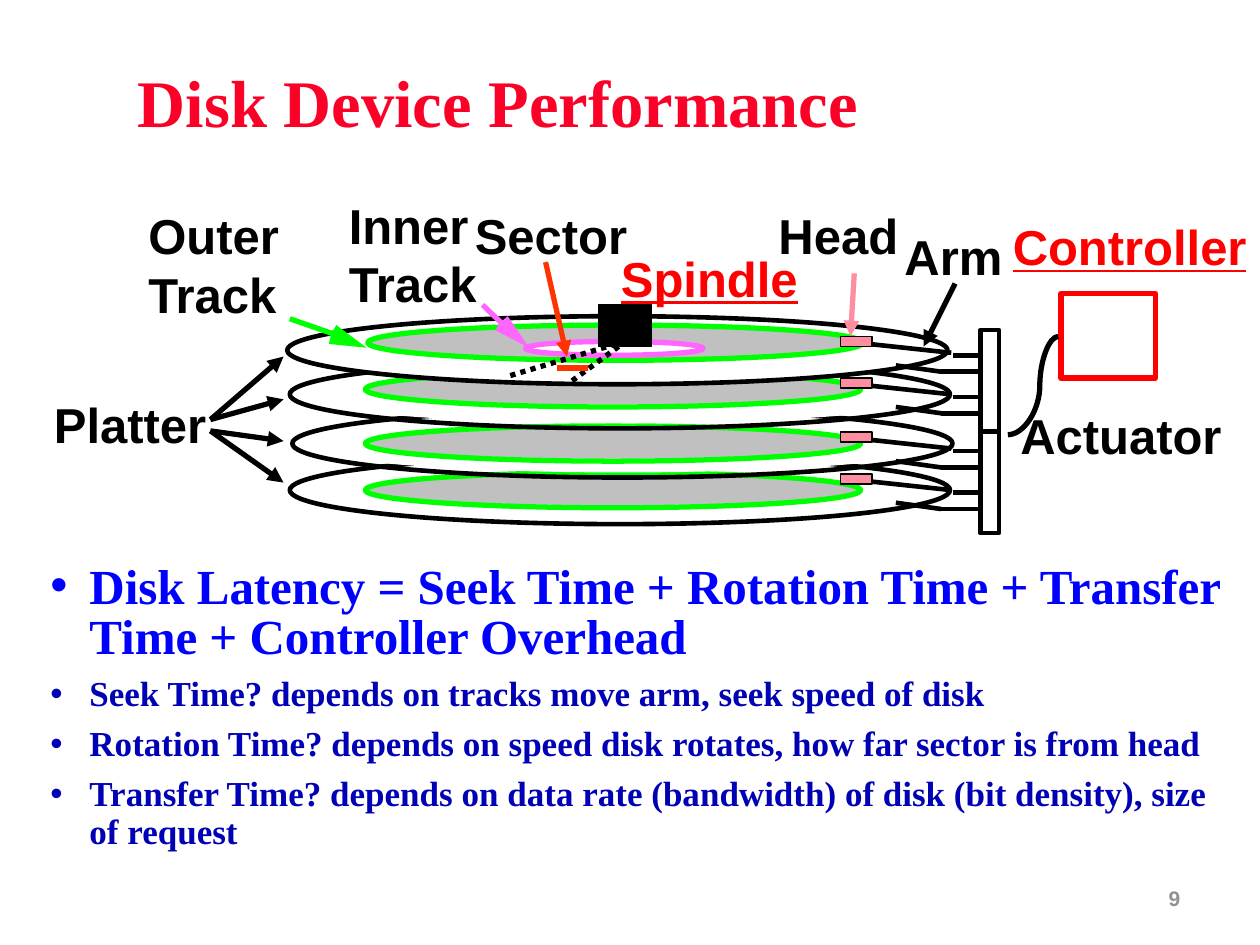
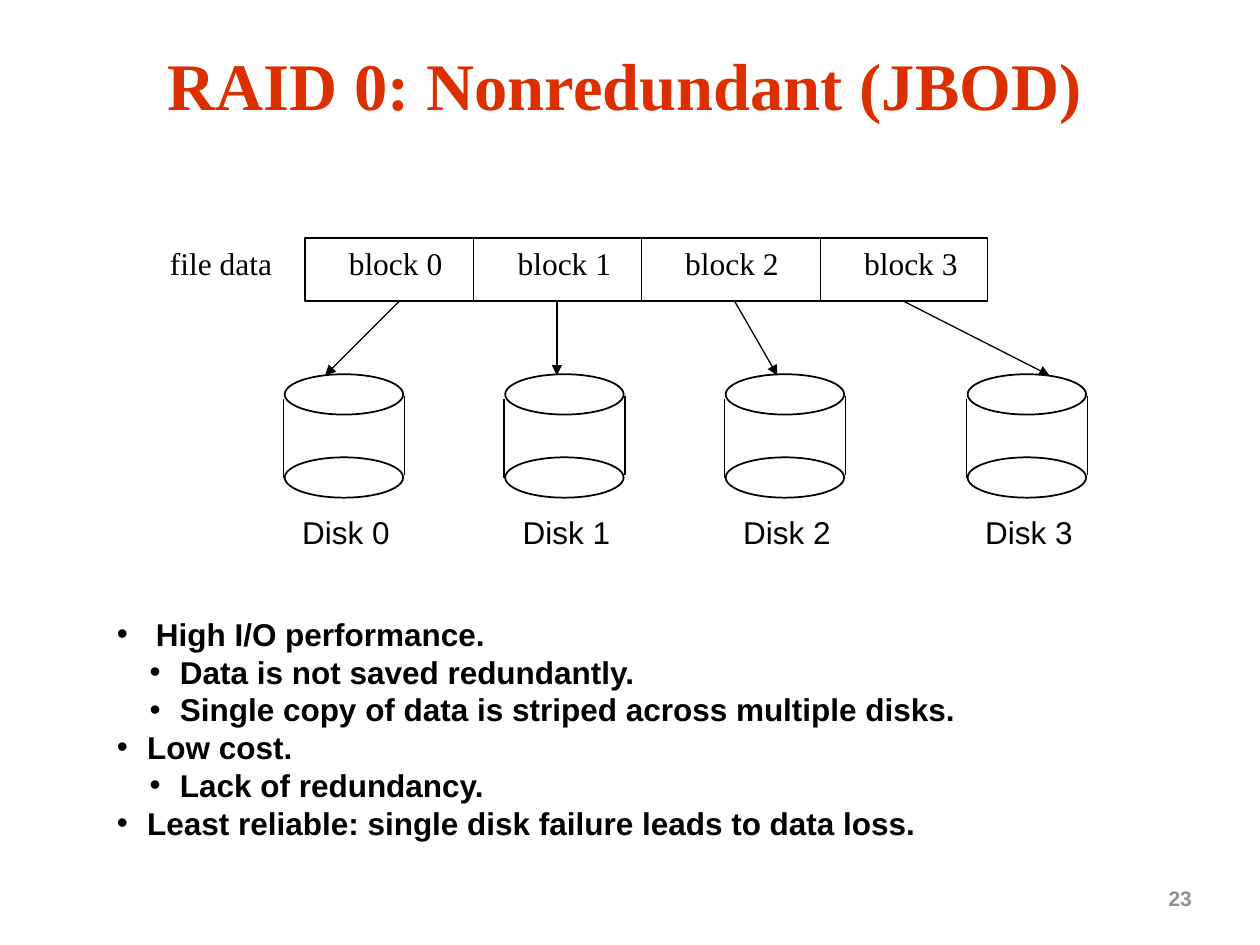
from dataclasses import dataclass

from lxml.etree import SubElement
from pptx import Presentation
from pptx.dml.color import RGBColor
from pptx.enum.dml import MSO_LINE
from pptx.enum.shapes import MSO_CONNECTOR, MSO_SHAPE
from pptx.enum.text import MSO_ANCHOR, MSO_AUTO_SIZE, PP_ALIGN
from pptx.oxml.ns import qn
from pptx.slide import Slide
from pptx.util import Inches, Pt

WIDTH, HEIGHT = Inches(10), Inches(7.5)
COLUMN, ROW = WIDTH / 100, HEIGHT / 75
SANS, SERIF = "Arial", "Times New Roman"
COLORS = {
    "black": "000000", "white": "FFFFFF", "gray": "C0C0C0", "number": "919191",
    "crimson": "FC0128", "rust": "DC2F00", "red": "FF0000", "orange": "FF3300",
    "green": "00FF00", "violet": "FF66FF", "pink": "FF8DA0",
    "blue": "0000FF", "navy": "0000B4",
}


def rgb(name):
    return RGBColor.from_string(COLORS[name])


def format_runs(paragraph, size, font, color, bold=False, underline=False):
    for run in paragraph.runs:
        run.font.size, run.font.name = Pt(size), font
        run.font.bold, run.font.underline = bold, underline
        run.font.color.rgb = rgb(color)


def add_bullet(paragraph, margin, hang):
    properties = paragraph._p.get_or_add_pPr()
    properties.set("marL", str(Inches(margin)))
    properties.set("indent", str(-Inches(hang)))
    SubElement(properties, qn("a:buFont")).set("typeface", SANS)
    SubElement(properties, qn("a:buChar")).set("char", "•")


@dataclass
class Region:
    """An area of a slide; its parts are placed in grid cells from its corner."""
    slide: Slide
    left: float
    top: float

    def point(self, column, row):
        return round((self.left + column) * COLUMN), round((self.top + row) * ROW)

    def box(self, column, row, columns, rows):
        return *self.point(column, row), round(columns * COLUMN), round(rows * ROW)

    def paint(self, shape, fill, line, weight):
        shape.shadow.inherit = False
        if fill:
            shape.fill.solid()
            shape.fill.fore_color.rgb = rgb(fill)
        else:
            shape.fill.background()
        if line:
            shape.line.color.rgb = rgb(line)
            shape.line.width = Pt(weight)
        else:
            shape.line.fill.background()

    def shape(self, kind, cells, fill=None, line=None, weight=1.0):
        shape = self.slide.shapes.add_shape(kind, *self.box(*cells))
        self.paint(shape, fill, line, weight)

    def ellipse(self, *cells, **style):
        self.shape(MSO_SHAPE.OVAL, cells, **style)

    def rectangle(self, *cells, **style):
        self.shape(MSO_SHAPE.RECTANGLE, cells, **style)

    def polygon(self, points, fill):
        corners = [self.point(*point) for point in points]
        builder = self.slide.shapes.build_freeform(*corners[0])
        builder.add_line_segments(corners[1:], close=True)
        self.paint(builder.convert_to_shape(), fill, None, 0)

    def line(self, start, end, color="black", weight=3.0, arrow=False,
             dotted=False, kind=MSO_CONNECTOR.STRAIGHT):
        connector = self.slide.shapes.add_connector(
            kind, *self.point(*start), *self.point(*end))
        connector.line.color.rgb = rgb(color)
        connector.line.width = Pt(weight)
        if dotted:
            connector.line.dash_style = MSO_LINE.ROUND_DOT
        properties = connector._element.spPr
        if arrow:
            SubElement(properties.find(qn("a:ln")), qn("a:tailEnd")).set("type", "triangle")
        SubElement(properties, qn("a:effectLst"))
        return connector

    def text_box(self, *cells, wrap=False):
        text_frame = self.slide.shapes.add_textbox(*self.box(*cells)).text_frame
        text_frame.word_wrap = wrap
        text_frame.auto_size = MSO_AUTO_SIZE.SHAPE_TO_FIT_TEXT
        return text_frame

    def label(self, text, cells, size, font=SANS, color="black", **style):
        text_frame = self.text_box(*cells)
        text_frame.text = text
        for paragraph in text_frame.paragraphs:
            format_runs(paragraph, size, font, color, **style)


def start_slide(presentation, title, title_cells, color, number):
    """Title and page number, which every slide carries."""
    slide = presentation.slides.add_slide(presentation.slide_layouts[5])
    page = Region(slide, 0, 0)
    placeholder = slide.shapes.title
    (placeholder.left, placeholder.top,
     placeholder.width, placeholder.height) = page.box(*title_cells)
    text_frame = placeholder.text_frame
    text_frame.text = title
    text_frame.auto_size = MSO_AUTO_SIZE.NONE
    text_frame.vertical_anchor = MSO_ANCHOR.MIDDLE
    paragraph = text_frame.paragraphs[0]
    paragraph.alignment, paragraph.line_spacing = PP_ALIGN.CENTER, 0.9
    format_runs(paragraph, 38, SERIF, color, bold=True)
    page.label(f" {number}", (91.3, 69.8, 4.5, 3), 12, color="number", bold=True)
    return slide


def draw_platters(region):
    # Three lower platters, from the bottom up: outline corner, row of the track
    for column, row, track_row in ((0.2, 11.1, 12.4), (0.4, 7.4, 8.7), (0.2, 3.5, 4.4)):
        region.ellipse(column + 0.4, row + 0.4, 51.6, 4.6, fill="white")
        region.ellipse(column, row, 52.4, 5.4, line="black", weight=2.63)
        region.ellipse(6.4, track_row + 0.2, 38.9, 2.4, fill="gray")
        region.ellipse(6.2, track_row, 39.3, 2.8, line="green", weight=3)
    # Top platter with outer and inner track
    region.ellipse(0, 0, 52.4, 5.4, fill="white", line="black", weight=2.63)
    region.ellipse(6.4, 0.7, 39.3, 2.8, fill="gray", line="green", weight=3)
    region.ellipse(18.9, 2, 14.1, 1.1, fill="white", line="violet", weight=3)
    # Sector bounds, sector mark and spindle
    region.line((26.3, 2.4), (22.5, 5.2), dotted=True)
    region.line((26.1, 2.2), (17.4, 4.8), dotted=True)
    region.line((21.4, 4.1), (23.9, 4.1), "orange")
    region.rectangle(24.7, -0.9, 4.2, 3.3, fill="black", line="black")


def draw_arms(region):
    # Actuator posts
    for row in (0, 8.1):
        region.rectangle(11.1, row, 1.5, 8, fill="white", line="black", weight=2.63)
    # Upper and lower arm of each platter, with the head
    for row in (2, 5.3, 9.6, 12.9):
        for start, end in (((8.9, 0), (10.9, 0)), ((8.8, -0.2), (0.4, -1.1)),
                           ((8, 1.3), (4.4, 0.8)), ((8, 1.3), (11.1, 1.3))):
            region.line((start[0], row + start[1]), (end[0], row + end[1]), weight=2.63)
        region.rectangle(0, row - 1.5, 2.5, 0.8, fill="pink", line="black")


def draw_controller(region):
    region.rectangle(4.2, 0, 7.5, 6.7, line="red", weight=3)
    cable = region.line((4, 3.4), (0, 11.2), kind=MSO_CONNECTOR.CURVE)
    adjustments = cable._element.spPr.find(qn("a:prstGeom")).get_or_add_avLst()
    guide = SubElement(adjustments, qn("a:gd"))
    guide.set("name", "adj1")
    guide.set("fmla", "val 36800")


def draw_callouts(region):
    # Track pointers with wide heads
    region.polygon([(39.3, 11.2), (39.7, 10.6), (40.3, 10.1), (42, 12.6)], "violet")
    region.line((38.3, 9.2), (40.6, 11.4), "violet")
    region.polygon([(26.1, 12.3), (26.3, 11.5), (26.7, 10.8), (29.1, 12.6)], "green")
    region.line((23, 10.3), (27.6, 11.9), "green")
    # Sector, head and arm pointers
    region.line((43.3, 5.8), (45, 13.3), "orange", arrow=True)
    region.line((67.8, 6.7), (67.5, 11.7), "pink", arrow=True)
    region.line((75.8, 7.5), (73.3, 12.5), arrow=True)
    # Platter pointers
    for start, end in ((18.3, 13.3), (18.3, 16.7), (19.2, 20), (19.2, 23.3)):
        region.line((16.7, start), (22.5, end), arrow=True)
    # Labels
    for text, column, row, columns in (
            ("Platter", 3.3, 15.8, 14.1), ("Arm", 70.8, 2.5, 9.8),
            ("Actuator", 80, 16.7, 18), ("Head", 60.8, 0.8, 11.5),
            ("Sector", 36.7, 0.8, 14.1), ("Inner\nTrack", 26.7, 0, 12.4),
            ("Outer\nTrack", 10.8, 0.8, 12.4)):
        region.label(text, (column, row, columns, 5.7), 28, bold=True)
    for text, column, row, columns in (
            ("Controller", 79.4, 1.7, 20.6), ("Spindle", 48.3, 4.2, 16.1)):
        region.label(text, (column, row, columns, 5.7), 28, color="red",
                     bold=True, underline=True)


def write_latency(region):
    text_frame = region.text_box(0, 0, 95.8, 25.4, wrap=True)
    text_frame.margin_left = text_frame.margin_right = Inches(0.07)
    text_frame.margin_top = text_frame.margin_bottom = Inches(0.03)
    points = (
        ("Disk Latency = Seek Time + Rotation Time + Transfer Time + Controller Overhead",
         28, "blue", 0.85),
        ("Seek Time? depends on tracks move arm, seek speed of disk", 20, "navy", 0.9),
        ("Rotation Time? depends on speed disk rotates, how far sector is from head",
         20, "navy", 0.9),
        ("Transfer Time? depends on data rate (bandwidth) of disk (bit density), "
         "size of request", 20, "navy", 0.9),
    )
    text_frame.text = "\n".join(point[0] for point in points)
    for paragraph, (_, size, color, spacing) in zip(text_frame.paragraphs, points):
        paragraph.line_spacing = spacing
        paragraph.space_before = Pt(round(0.345 * size, 1))
        format_runs(paragraph, size, SERIF, color, bold=True)
        add_bullet(paragraph, 0.31, 0.31)


def draw_file_blocks(region):
    region.rectangle(0, 0, 54.2, 5, line="black", weight=0.75)
    region.label("file data", (-11.7, 0, 10.1, 4), 18, SERIF)
    # Left edge of each block, then start and end of its arrow to the disk
    blocks = ((0, 7.5, 1.6), (13.4, 20, 20), (26.7, 34.1, 37.5), (40.9, 47.5, 59.1))
    for index, (edge, start, end) in enumerate(blocks):
        if index:
            region.line((edge, 0), (edge, 5), weight=0.75)
        region.label(f"block {index}", (edge + 2.5, 0, 9.4, 4), 18, SERIF)
        region.line((start, 5), (end, 10.9), weight=0.75, arrow=True)


def draw_disk(region, name):
    for row in (0, 6.6):
        region.ellipse(0.1, row, 9.4, 3.2, fill="white", line="black")
    region.line((0, 2), (0, 8.2), weight=1)
    region.line((9.6, 1.7), (9.6, 8), weight=1)
    region.label(name, (0.5, 10.5, 9, 4), 18)


def write_traits(region):
    text_frame = region.text_box(0, 0, 86.7, 19, wrap=True)
    traits = (
        (0, " High I/O performance."),
        (1, "Data is not saved redundantly."),
        (1, "Single copy of data is striped across multiple disks."),
        (0, "Low cost."),
        (1, "Lack of redundancy."),
        (0, "Least reliable: single disk failure leads to data loss."),
    )
    text_frame.text = "\n".join(text for _, text in traits)
    for paragraph, (level, _) in zip(text_frame.paragraphs, traits):
        paragraph.level = level
        paragraph.line_spacing = Pt(21.6)
        format_runs(paragraph, 18, SANS, "black", bold=True)
        add_bullet(paragraph, 0.5 if level else 0.24, 0.24)


def build_performance_slide(presentation):
    slide = start_slide(presentation, "Disk Device Performance",
                        (8.3, 5.8, 62.5, 5.2), "crimson", 9)
    draw_platters(Region(slide, 22.8, 25.1))
    draw_arms(Region(slide, 66.7, 26.2))
    draw_callouts(Region(slide, 0, 15))
    draw_controller(Region(slide, 80, 23.3))
    write_latency(Region(slide, 3.3, 44.5))


def build_raid_slide(presentation):
    slide = start_slide(presentation, "RAID 0: Nonredundant (JBOD)",
                        (2.5, 3.3, 94.2, 7.5), "rust", 23)
    draw_file_blocks(Region(slide, 24.2, 18.9))
    for index, column in enumerate((22.5, 40, 57.5, 76.7)):
        draw_disk(Region(slide, column, 29.7), f"Disk {index}")
    write_traits(Region(slide, 8.3, 48.3))


def main():
    presentation = Presentation()
    presentation.slide_width, presentation.slide_height = WIDTH, HEIGHT
    build_performance_slide(presentation)
    build_raid_slide(presentation)
    presentation.save("out.pptx")


if __name__ == "__main__":
    main()
